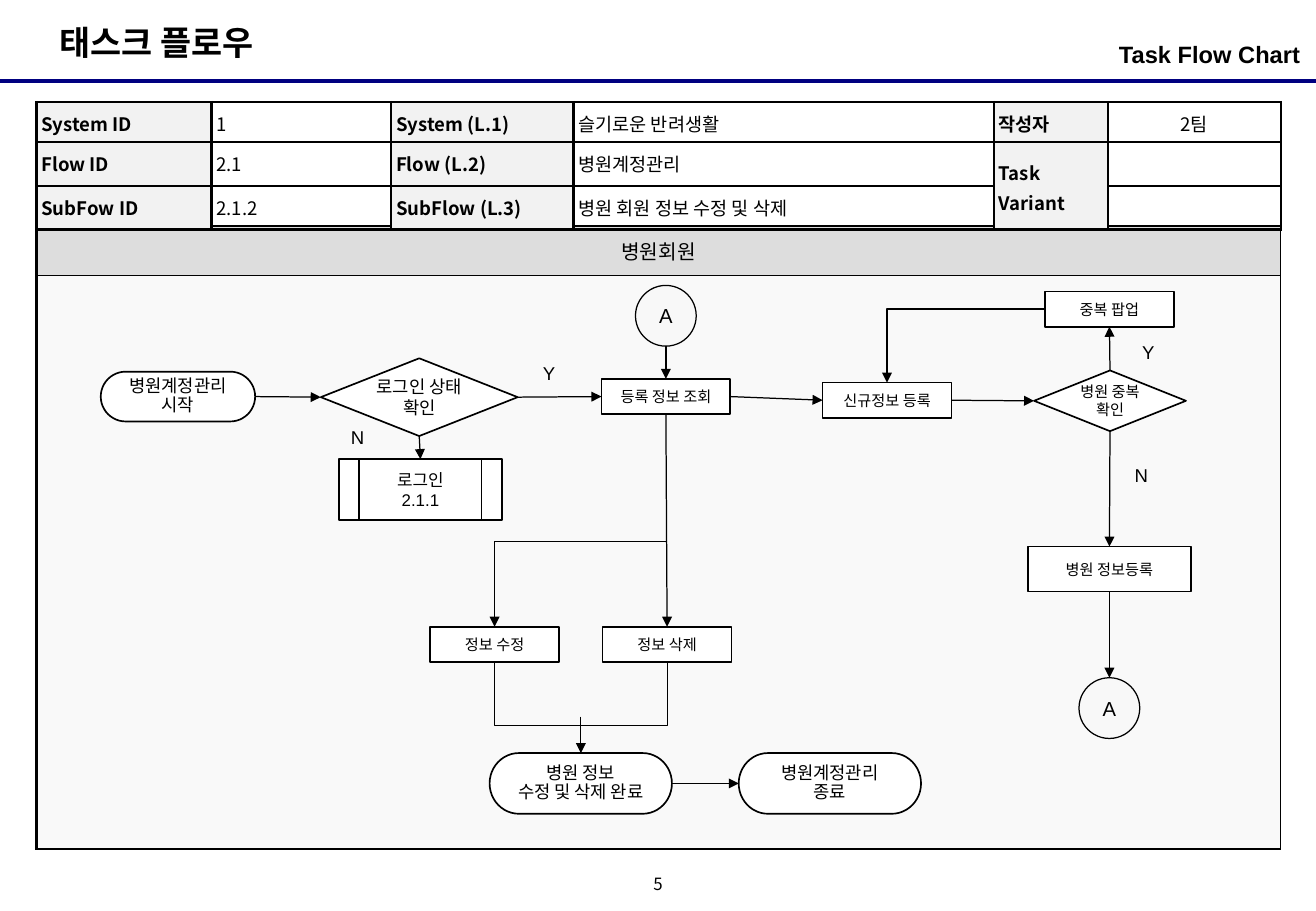
from dataclasses import dataclass
from typing import Any

from lxml import etree
from pptx import Presentation
from pptx.dml.color import RGBColor
from pptx.enum.shapes import MSO_CONNECTOR, MSO_SHAPE
from pptx.enum.text import MSO_ANCHOR, MSO_AUTO_SIZE, PP_ALIGN
from pptx.oxml.ns import qn
from pptx.util import Inches, Pt

STRAIGHT, ELBOW = MSO_CONNECTOR.STRAIGHT, MSO_CONNECTOR.ELBOW
RECT, OVAL = MSO_SHAPE.RECTANGLE, MSO_SHAPE.OVAL
TERMINATOR = MSO_SHAPE.FLOWCHART_TERMINATOR
DECISION = MSO_SHAPE.FLOWCHART_DECISION
SUBFLOW = MSO_SHAPE.FLOWCHART_PREDEFINED_PROCESS
LEFT_ALIGN, CENTER, RIGHT_ALIGN = PP_ALIGN.LEFT, PP_ALIGN.CENTER, PP_ALIGN.RIGHT
ANCHOR_TOP, ANCHOR_MIDDLE = MSO_ANCHOR.TOP, MSO_ANCHOR.MIDDLE
NO_AUTOFIT = MSO_AUTO_SIZE.NONE
TOP, LEFT, BOTTOM, RIGHT = range(4)
SIDE_FRACTIONS = {TOP: (0.5, 0), LEFT: (0, 0.5), BOTTOM: (0.5, 1), RIGHT: (1, 0.5)}


@dataclass(frozen=True)
class Theme:
    font: str = "Arial"
    table_font: str = "Noto Sans CJK KR"
    ink: str = "000000"
    rule: str = "000080"
    paper: str = "FFFFFF"
    connector_fill: str = "F8F8F8"
    label_fill: str = "F2F2F2"
    lane_header: str = "DDDDDD"
    lane_body: str = "F9F9F9"
    title: float = 20
    subtitle: float = 14
    lane: float = 12
    table: float = 11
    branch: float = 11
    page: float = 10
    thin: float = 0.75
    outline: float = 1
    frame: float = 1.5


THEME = Theme()


@dataclass(frozen=True)
class Node:
    text: str
    left: float
    top: float
    width: float = 1.06
    height: float = 0.29
    kind: Any = RECT
    size: float = 9


@dataclass(frozen=True)
class Link:
    """An arrow; start is a node name or a free point in inches."""
    start: str | tuple[float, float]
    start_side: int
    end: str
    end_side: int
    route: Any = STRAIGHT


NODES = {
    "begin": Node("병원계정관리\n시작", 0.83, 3.06, 1.27, 0.41, TERMINATOR, 10.5),
    "login check": Node("로그인 상태 확인", 2.64, 2.95, 1.62, 0.64, DECISION, 10.5),
    "login": Node("로그인\n2.1.1", 2.79, 3.78, 1.34, 0.5, SUBFLOW, 10),
    "from A": Node("A", 5.23, 2.35, 0.5, 0.5, OVAL, 12),
    "lookup": Node("등록 정보 조회", 4.95, 3.12),
    "edit": Node("정보 수정", 3.54, 5.16),
    "delete": Node("정보 삭제", 4.96, 5.16),
    "register": Node("신규정보 등록", 6.77, 3.15),
    "duplicate check": Node("병원 중복\n확인", 8.51, 3.05, 1.25, 0.5, DECISION),
    "popup": Node("중복 팝업", 8.6, 2.4),
    "save": Node("병원 정보등록", 8.46, 4.5, 1.34, 0.37),
    "to A": Node("A", 8.88, 5.58, 0.5, 0.5, OVAL, 12),
    "done": Node("병원 정보\n수정 및 삭제 완료", 4.03, 6.2, 1.5, 0.5, TERMINATOR, 10.5),
    "finish": Node("병원계정관리\n종료", 6.08, 6.2, 1.5, 0.5, TERMINATOR, 10.5),
}
LINKS = [
    Link("begin", RIGHT, "login check", LEFT),
    Link("login check", RIGHT, "lookup", LEFT),
    Link("login check", BOTTOM, "login", TOP),
    Link("from A", BOTTOM, "lookup", TOP),
    Link("lookup", RIGHT, "register", LEFT),
    Link("lookup", BOTTOM, "delete", TOP),
    Link((5.49, 4.46), LEFT, "edit", TOP, ELBOW),
    Link("register", RIGHT, "duplicate check", LEFT),
    Link("duplicate check", TOP, "popup", BOTTOM),
    Link("popup", LEFT, "register", TOP, ELBOW),
    Link("duplicate check", BOTTOM, "save", TOP),
    Link("save", BOTTOM, "to A", TOP),
    Link((4.78, 5.9), BOTTOM, "done", TOP),
    Link("done", RIGHT, "finish", LEFT),
]
BRANCHES = [("Y", 4.37, 2.88), ("N", 2.79, 3.41), ("Y", 9.3, 2.71), ("N", 9.24, 3.72)]
INFO_ROWS = [
    ["System ID", "1", "System (L.1)", "슬기로운 반려생활", "작성자", "2팀"],
    ["Flow ID", "2.1", "Flow (L.2)", "병원계정관리", "Task Variant", ""],
    ["SubFow ID", "2.1.2", "SubFlow (L.3)", "병원 회원 정보 수정 및 삭제", "", ""],
]
MERGE_Y = 5.97


def apply_format(target: Any, values: dict[str, Any]) -> None:
    for name, value in values.items():
        setattr(target, name, value)


def write(frame: Any, text: str, size: float, *, font: str = THEME.font, bold: bool = False,
          align: Any = LEFT_ALIGN, anchor: Any = ANCHOR_TOP, spacing: float = 1,
          insets: tuple[float, float] | None = None, wrap: bool = True) -> None:
    """Fill a text frame, one paragraph per line of text."""
    apply_format(frame, {"vertical_anchor": anchor, "word_wrap": wrap, "auto_size": NO_AUTOFIT})
    if insets:
        side, upright = map(Inches, insets)
        apply_format(frame, {"margin_left": side, "margin_right": side,
                             "margin_top": upright, "margin_bottom": upright})
    for index, line in enumerate(text.split("\n")):
        paragraph = frame.add_paragraph() if index else frame.paragraphs[0]
        apply_format(paragraph, {"alignment": align, "line_spacing": spacing, "space_before": Pt(0)})
        run = paragraph.add_run()
        run.text = line
        apply_format(run.font, {"name": font, "size": Pt(size), "bold": bold})
        run.font.color.rgb = RGBColor.from_string(THEME.ink)


def place(shape: Any, *box: float) -> None:
    apply_format(shape, dict(zip(("left", "top", "width", "height"), map(Inches, box))))


def style_line(line: Any, width: float, color: str = THEME.ink) -> None:
    line.color.rgb = RGBColor.from_string(color)
    line.width = Pt(width)


def style_cell(cell: Any, fill: str | None, **borders: float) -> None:
    """Set the fill and all four borders, given in points by side letter."""
    properties = cell._tc.get_or_add_tcPr()
    for side in "LRTB":
        width = Pt(borders.get(side, THEME.frame))
        border = etree.SubElement(properties, qn(f"a:ln{side}"), w=str(width))
        solid = etree.SubElement(border, qn("a:solidFill"))
        etree.SubElement(solid, qn("a:srgbClr"), val=THEME.ink)
    if fill:
        cell.fill.solid()
        cell.fill.fore_color.rgb = RGBColor.from_string(fill)
    else:
        cell.fill.background()


def add_grid(slide: Any, top: float, columns: list[float], rows: list[float]) -> Any:
    grid = slide.shapes.add_table(len(rows), len(columns), Inches(0.3), Inches(top),
                                  Inches(sum(columns)), Inches(sum(rows))).table
    apply_format(grid, {"first_row": False, "horz_banding": False})
    for column, width in zip(grid.columns, columns):
        column.width = Inches(width)
    for row, height in zip(grid.rows, rows):
        row.height = Inches(height)
    return grid


def add_lane(slide: Any) -> None:
    lane = add_grid(slide, 1.86, [10.24], [0.41, 4.72])
    header, body = lane.cell(0, 0), lane.cell(1, 0)
    style_cell(header, THEME.lane_header, R=THEME.thin, B=THEME.thin)
    style_cell(body, THEME.lane_body, R=THEME.thin, T=THEME.thin)
    write(header.text_frame, "병원회원", THEME.lane, align=CENTER)
    header.vertical_anchor = ANCHOR_MIDDLE


def add_info(slide: Any) -> None:
    info = add_grid(slide, 0.84, [1.44, 1.48, 1.5, 3.46, 0.94, 1.42], [0.33, 0.36, 0.36])
    info.cell(1, 4).merge(info.cell(2, 4))
    for row, texts in enumerate(INFO_ROWS):
        for column, text in enumerate(texts):
            cell, is_label = info.cell(row, column), column % 2 == 0
            margins = ("margin_left", "margin_right", "margin_top", "margin_bottom")
            apply_format(cell, dict.fromkeys(margins, Inches(0.04)))
            style_cell(cell, THEME.label_fill if is_label else None)
            write(cell.text_frame, text, THEME.table, font=THEME.table_font, bold=is_label,
                  align=CENTER if column == 5 else LEFT_ALIGN, spacing=1.1)
            cell.vertical_anchor = ANCHOR_MIDDLE if column >= 4 else ANCHOR_TOP


def add_node(slide: Any, node: Node) -> Any:
    shape = slide.shapes.add_shape(node.kind, *map(Inches, (node.left, node.top, node.width, node.height)))
    is_circle = node.kind == OVAL
    shape.shadow.inherit = False
    shape.fill.solid()
    shape.fill.fore_color.rgb = RGBColor.from_string(THEME.connector_fill if is_circle else THEME.paper)
    style_line(shape.line, THEME.thin if is_circle else THEME.outline)
    write(shape.text_frame, node.text, node.size, align=CENTER, anchor=ANCHOR_MIDDLE,
          spacing=0.9 if node.kind == TERMINATOR else 1, insets=(0.1, 0.1) if is_circle else (0.02, 0))
    return shape


def side_point(name: str, side: int) -> tuple[float, float]:
    node, (across, down) = NODES[name], SIDE_FRACTIONS[side]
    return node.left + node.width * across, node.top + node.height * down


def add_line(slide: Any, start: tuple[float, float], end: tuple[float, float], width: float,
             color: str = THEME.ink, route: Any = STRAIGHT) -> Any:
    line = slide.shapes.add_connector(route, *map(Inches, (*start, *end)))
    style_line(line.line, width, color)
    etree.SubElement(line._element.spPr, qn("a:effectLst"))
    return line


def add_link(slide: Any, link: Link, shapes: dict[str, Any]) -> None:
    is_free = isinstance(link.start, tuple)
    start = link.start if is_free else side_point(link.start, link.start_side)
    arrow = add_line(slide, start, side_point(link.end, link.end_side), THEME.thin, route=link.route)
    if not is_free and NODES[link.start].kind != OVAL:
        arrow.begin_connect(shapes[link.start], link.start_side)
    arrow.end_connect(shapes[link.end], link.end_side)
    properties = arrow._element.spPr
    etree.SubElement(properties.find(qn("a:ln")), qn("a:tailEnd"), type="triangle")
    if link.route == ELBOW:
        properties.find(qn("a:prstGeom")).set("prst", "bentConnector2")


def add_merge_line(slide: Any) -> None:
    """Join the edit and delete steps with one open U-shaped line."""
    (left, top), (right, right_top) = (side_point(name, BOTTOM) for name in ("edit", "delete"))
    corners = [(left, MERGE_Y), (right, MERGE_Y), (right, right_top)]
    builder = slide.shapes.build_freeform(Inches(left), Inches(top))
    builder.add_line_segments([(Inches(x), Inches(y)) for x, y in corners], close=False)
    merge = builder.convert_to_shape()
    merge.shadow.inherit = False
    merge.fill.background()
    style_line(merge.line, THEME.thin)


def add_text(slide: Any, text: str, box: tuple[float, ...], size: float, **options: Any) -> None:
    write(slide.shapes.add_textbox(*map(Inches, box)).text_frame, text, size, **options)


def main() -> None:
    deck = Presentation()
    apply_format(deck, {"slide_width": Inches(10.83), "slide_height": Inches(7.5)})
    slide = deck.slides.add_slide(deck.slide_layouts[2])
    title, subtitle = slide.shapes.title, slide.placeholders[1]
    place(title, 0.39, 0.13, 1.98, 0.44)
    write(title.text_frame, "태스크 플로우", THEME.title, bold=True, insets=(0.1, 0.05), wrap=False)
    place(subtitle, 7.39, 0.28, 3.31, 0.39)
    write(subtitle.text_frame, "Task Flow Chart", THEME.subtitle, bold=True,
          align=RIGHT_ALIGN, insets=(0, 0.05))
    add_line(slide, (0, 0.67), (10.83, 0.67), 2.25, THEME.rule)
    add_lane(slide)
    add_info(slide)
    shapes = {name: add_node(slide, node) for name, node in NODES.items()}
    for link in LINKS:
        add_link(slide, link, shapes)
    add_merge_line(slide)
    for answer, left, top in BRANCHES:
        add_text(slide, answer, (left, top, 0.3, 0.39), THEME.branch, insets=(0.1, 0.1), wrap=False)
    add_text(slide, "5", (5.25, 7.17, 0.33, 0.25), THEME.page, font=THEME.table_font,
             align=CENTER, anchor=ANCHOR_MIDDLE, spacing=0.8, insets=(0, 0))
    deck.save("out.pptx")


if __name__ == "__main__":
    main()
